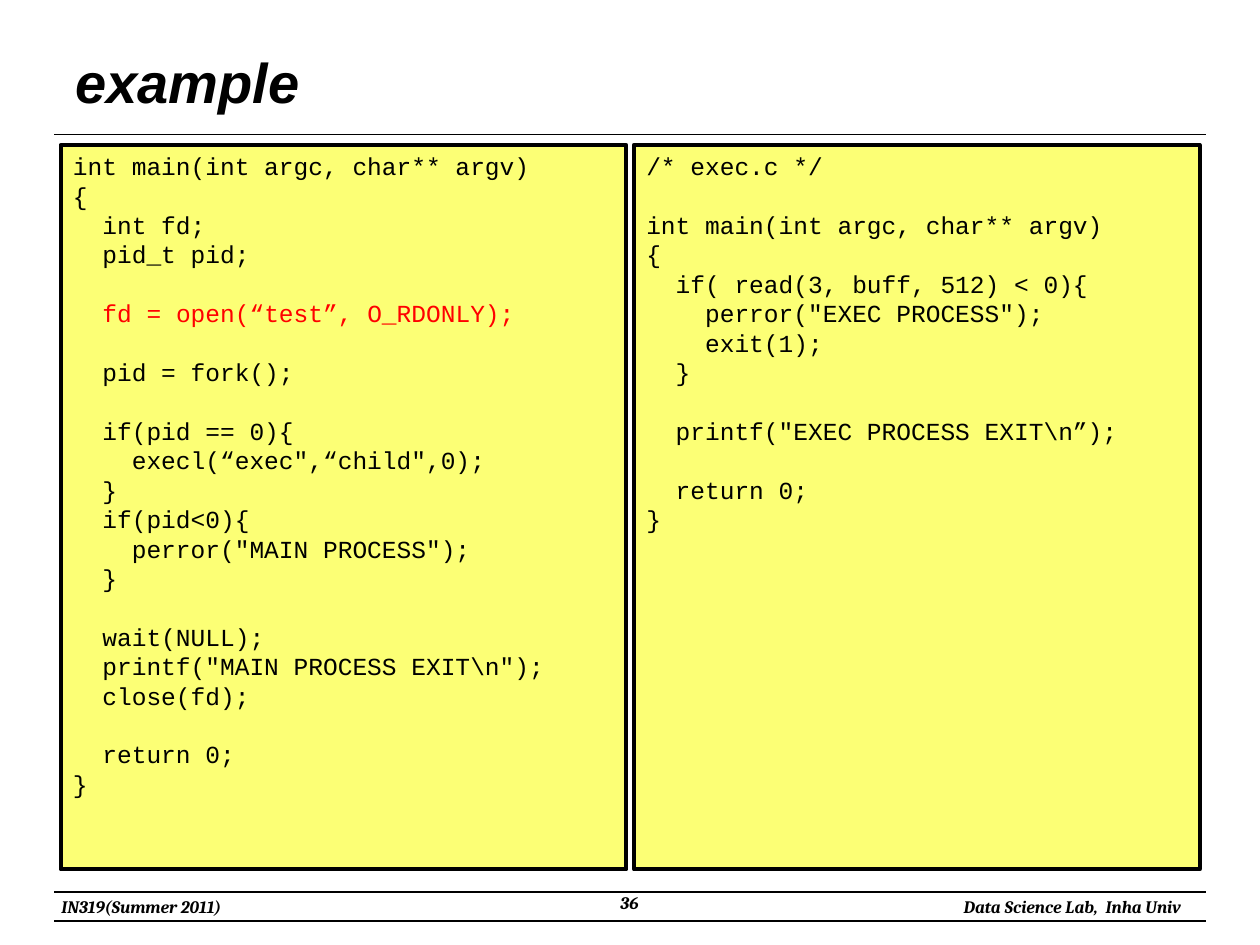
"""Build a slide with two code listings side by side."""
from pptx import Presentation
from pptx.dml.color import RGBColor
from pptx.enum.shapes import MSO_CONNECTOR, MSO_SHAPE
from pptx.enum.text import MSO_ANCHOR, PP_ALIGN
from pptx.util import Pt
from lxml import etree

RECTANGLE = MSO_SHAPE.RECTANGLE
STRAIGHT = MSO_CONNECTOR.STRAIGHT
TOP, MIDDLE = MSO_ANCHOR.TOP, MSO_ANCHOR.MIDDLE
LEFT, CENTER, RIGHT = PP_ALIGN.LEFT, PP_ALIGN.CENTER, PP_ALIGN.RIGHT

TITLE = "example"
COURSE = "IN319(Summer 2011)"
LAB = "Data Science Lab,  Inha Univ"
PAGE = "36"
HIGHLIGHT = "fd = open(“test”, O_RDONLY);"
LISTINGS = [
    r'''int main(int argc, char** argv)
{
  int fd;
  pid_t pid;

  fd = open(“test”, O_RDONLY);

  pid = fork();

  if(pid == 0){
    execl(“exec",“child",0);
  }
  if(pid<0){
    perror("MAIN PROCESS");
  }

  wait(NULL);
  printf("MAIN PROCESS EXIT\n");
  close(fd);

  return 0;
}''',
    r'''/* exec.c */

int main(int argc, char** argv)
{
  if( read(3, buff, 512) < 0){
    perror("EXEC PROCESS");
    exit(1);
  }

  printf("EXEC PROCESS EXIT\n”);

  return 0;
}''',
]

THEME = {
    "ink": RGBColor(0, 0, 0),
    "highlight": RGBColor(0xFF, 0, 0),
    "panel": RGBColor(0xFC, 0xFF, 0x75),
    "title": {"font": "Arial", "size": 32, "bold": True, "italic": True},
    "footer": {"font": "Cambria", "size": 10, "bold": True, "italic": True},
    "code": {"font": "Courier New", "size": 14},
    "code_line": 16.8,
    "rule": 0.75,
    "border": 2.25,
}

SLIDE_WIDTH, SLIDE_HEIGHT = 720, 540
RULE_MARGIN = 31
RULE_TOPS = (77, 509.8, 526.3)
PANEL_LEFT, PANEL_TOP = 34.6, 82.8
PANEL_WIDTH, PANEL_HEIGHT, PANEL_GAP = 323.3, 414, 4.3


def write(frame, text, font, size, bold=False, italic=False, align=LEFT,
          anchor=TOP, wrap=True, line=None):
    """Fill a frame, turning blank lines into space before the next line."""
    frame.word_wrap = wrap
    frame.vertical_anchor = anchor
    paragraph, blanks = frame.paragraphs[0], 0
    for index, content in enumerate(text.split("\n")):
        if not content:
            blanks += 1
            continue
        if index:
            paragraph = frame.add_paragraph()
        paragraph.alignment = align
        if line:
            paragraph.line_spacing = Pt(line)
        if blanks:
            paragraph.space_before = Pt(blanks * line)
            blanks = 0
        before, marked, after = content.partition(HIGHLIGHT)
        for part in filter(None, (before, marked, after)):
            run = paragraph.add_run()
            run.text = part
            run.font.name, run.font.size = font, Pt(size)
            run.font.bold, run.font.italic = bold, italic
            run.font.color.rgb = THEME["highlight" if part == HIGHLIGHT else "ink"]


def add_label(slide, text, box, **style):
    """Add a text box at box, given as left, top, width and height."""
    label = slide.shapes.add_textbox(*map(Pt, box))
    write(label.text_frame, text, **style)


def add_rule(slide, top):
    """Add a thin horizontal rule across the slide."""
    rule = slide.shapes.add_connector(
        STRAIGHT, Pt(RULE_MARGIN), Pt(top), Pt(SLIDE_WIDTH - RULE_MARGIN), Pt(top))
    rule.line.color.rgb = THEME["ink"]
    rule.line.width = Pt(THEME["rule"])
    properties = rule.line._get_or_add_ln().getparent()
    namespace = "http://schemas.openxmlformats.org/drawingml/2006/main"
    etree.SubElement(properties, f"{{{namespace}}}effectLst")


def add_listing(slide, code, column):
    """Add a bordered code panel in the given column."""
    left = PANEL_LEFT + column * (PANEL_WIDTH + PANEL_GAP)
    panel = slide.shapes.add_shape(
        RECTANGLE, Pt(left), Pt(PANEL_TOP), Pt(PANEL_WIDTH), Pt(PANEL_HEIGHT))
    panel.shadow.inherit = False
    panel.fill.solid()
    panel.fill.fore_color.rgb = THEME["panel"]
    panel.line.color.rgb = THEME["ink"]
    panel.line.width = Pt(THEME["border"])
    write(panel.text_frame, code, wrap=False, line=THEME["code_line"], **THEME["code"])


def main():
    """Compose and save the slide."""
    deck = Presentation()
    deck.slide_width, deck.slide_height = Pt(SLIDE_WIDTH), Pt(SLIDE_HEIGHT)
    slide = deck.slides.add_slide(deck.slide_layouts[6])
    for top in RULE_TOPS:
        add_rule(slide, top)
    add_label(slide, TITLE, (36, 21.6, 648, 49.7), anchor=MIDDLE, **THEME["title"])
    for column, code in enumerate(LISTINGS):
        add_listing(slide, code, column)
    footer = THEME["footer"]
    add_label(slide, COURSE, (28, 508.3, 124.6, 19.4), wrap=False, **footer)
    add_label(slide, LAB, (515.5, 508.3, 166.3, 19.4), wrap=False, align=RIGHT, **footer)
    add_label(slide, PAGE, (275.8, 506.2, 167.8, 22.3), align=CENTER, **footer)
    deck.save("out.pptx")


if __name__ == "__main__":
    main()
